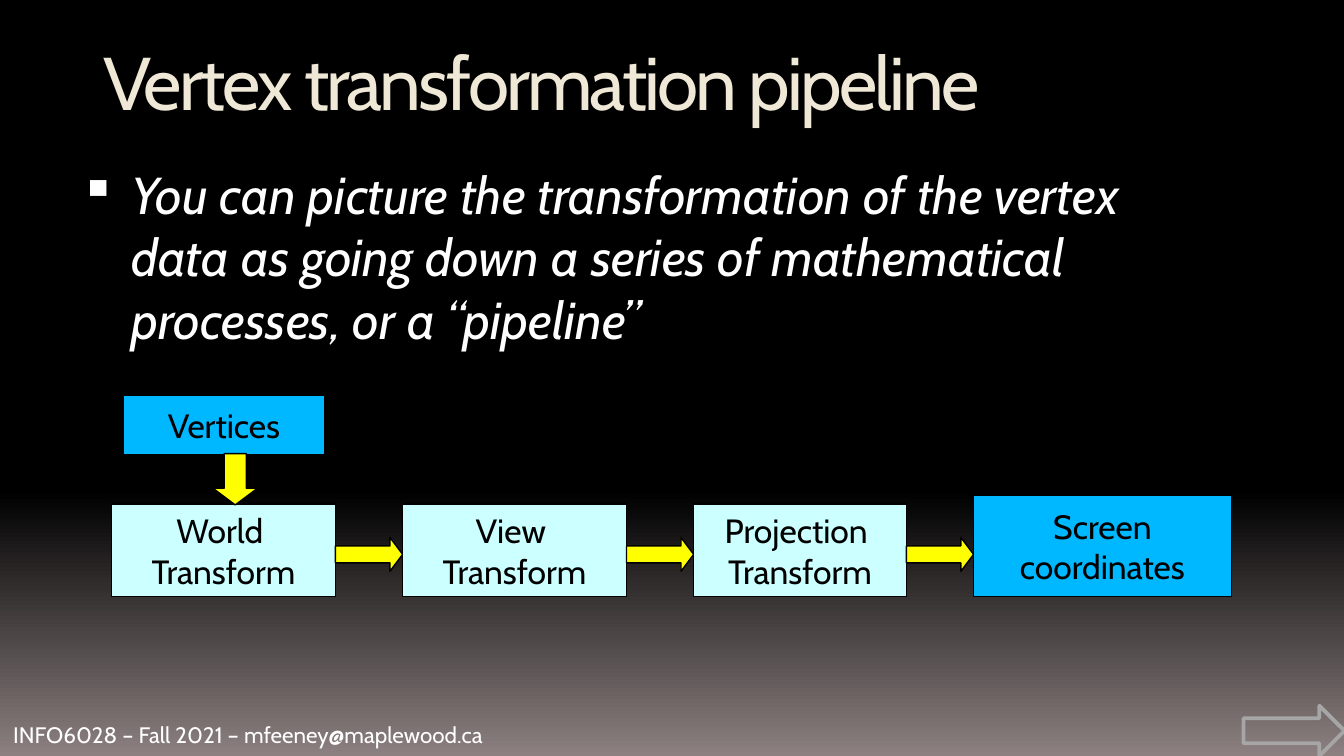
from lxml import etree
from pptx import Presentation
from pptx.dml.color import RGBColor
from pptx.enum.shapes import MSO_SHAPE
from pptx.enum.text import MSO_ANCHOR, PP_ALIGN
from pptx.oxml.ns import qn
from pptx.util import Cm, Pt

RECT, ARROW = MSO_SHAPE.RECTANGLE, MSO_SHAPE.RIGHT_ARROW
MIDDLE, CENTER = MSO_ANCHOR.MIDDLE, PP_ALIGN.CENTER
FONT = "Cabin"
BLACK, WHITE, CREAM = "000000", "FFFFFF", "EFE8D6"
BLUE, PALE, YELLOW, GREY = "00B8FF", "CCFFFF", "FFFF00", "A6A6A6"
FLOOR, GAP = 11.28, 1.27

# Stages from left to right: text, width, height, fill
STAGES = [
    ("World \nTransform", 4.23, 1.75, PALE),
    ("View \nTransform", 4.23, 1.75, PALE),
    ("Projection \nTransform", 4.02, 1.75, PALE),
    ("Screen\ncoordinates", 4.87, 1.91, BLUE),
]


def color(code):
    return RGBColor.from_string(code)


def paint(slide):
    """Fade the background from black to grey at the foot."""
    fill = slide.background.fill
    fill.gradient()
    fill.gradient_angle = 270
    for stop, place, code in zip(fill.gradient_stops, (0.65, 1), (BLACK, "8C8080")):
        stop.position = place
        stop.color.rgb = color(code)


def write(frame, text, size, code, **style):
    """Put one paragraph per line of text into the frame."""
    frame.text = text
    form = {"name": FONT, "size": Pt(size), **style}
    for para in frame.paragraphs:
        for run in para.runs:
            run.font.color.rgb = color(code)
            for key, value in form.items():
                setattr(run.font, key, value)


def add_text(slide, area, text, size, code, **style):
    frame = slide.shapes.add_textbox(*map(Cm, area)).text_frame
    frame.word_wrap = True
    write(frame, text, size, code, **style)
    return frame.paragraphs[0]


def add_bullet(para):
    para.space_before = Pt(7)
    props = para._p.get_or_add_pPr()
    props.set("marL", str(Cm(1.14)))
    props.set("indent", str(Cm(-0.97)))
    etree.SubElement(props, qn("a:buSzPct")).set("val", "95000")
    etree.SubElement(props, qn("a:buChar")).set("char", "▪")


def add_form(slide, kind, area, fill, line=BLACK, width=0.75):
    form = slide.shapes.add_shape(kind, *map(Cm, area))
    form.shadow.inherit = False
    if fill:
        form.fill.solid()
        form.fill.fore_color.rgb = color(fill)
    else:
        form.fill.background()
    form.line.color.rgb = color(line)
    form.line.width = Pt(width)
    return form


def add_box(slide, area, text, fill):
    frame = add_form(slide, RECT, area, fill).text_frame
    frame.word_wrap = False
    frame.vertical_anchor = MIDDLE
    write(frame, text, 18, BLACK)
    for para in frame.paragraphs:
        para.alignment = CENTER


def add_arrow(slide, area, turn=0):
    arrow = add_form(slide, ARROW, area, YELLOW)
    arrow.adjustments[1] = 0.375
    arrow.rotation = turn


def add_chain(slide):
    """Set the stages on one floor, joined by arrows across equal gaps."""
    left = 2.11
    for index, (text, width, height, fill) in enumerate(STAGES):
        if index:
            add_arrow(slide, (left - GAP, 10.16, GAP, 0.64))
        add_box(slide, (left, FLOOR - height, width, height), text, fill)
        left += width + GAP


def main():
    deck = Presentation()
    deck.slide_width, deck.slide_height = Cm(25.4), Cm(14.29)
    slide = deck.slides.add_slide(deck.slide_layouts[6])
    paint(slide)
    add_text(slide, (0, 13.51, 20.6, 0.76),
             "INFO6028 – Fall 2021 – mfeeney@maplewood.ca", 12, WHITE)
    title = add_text(slide, (1.7, 0.55, 21.59, 1.91),
                     "Vertex transformation pipeline", 40, CREAM)
    title.runs[0].font._element.set("spc", "-150")
    body = add_text(slide, (1.09, 2.95, 22.23, 3.51),
                    "You can picture the transformation of the vertex data as going "
                    "down a series of mathematical processes, or a “pipeline”",
                    27.8, WHITE, italic=True)
    add_bullet(body)
    add_box(slide, (2.33, 7.47, 3.81, 1.12), "Vertices", BLUE)
    add_chain(slide)
    add_arrow(slide, (3.96, 8.64, 0.97, 0.84), 90)
    add_form(slide, ARROW, (23.5, 13.34, 1.91, 0.95), None, GREY, 2)
    deck.save("out.pptx")


if __name__ == "__main__":
    main()
